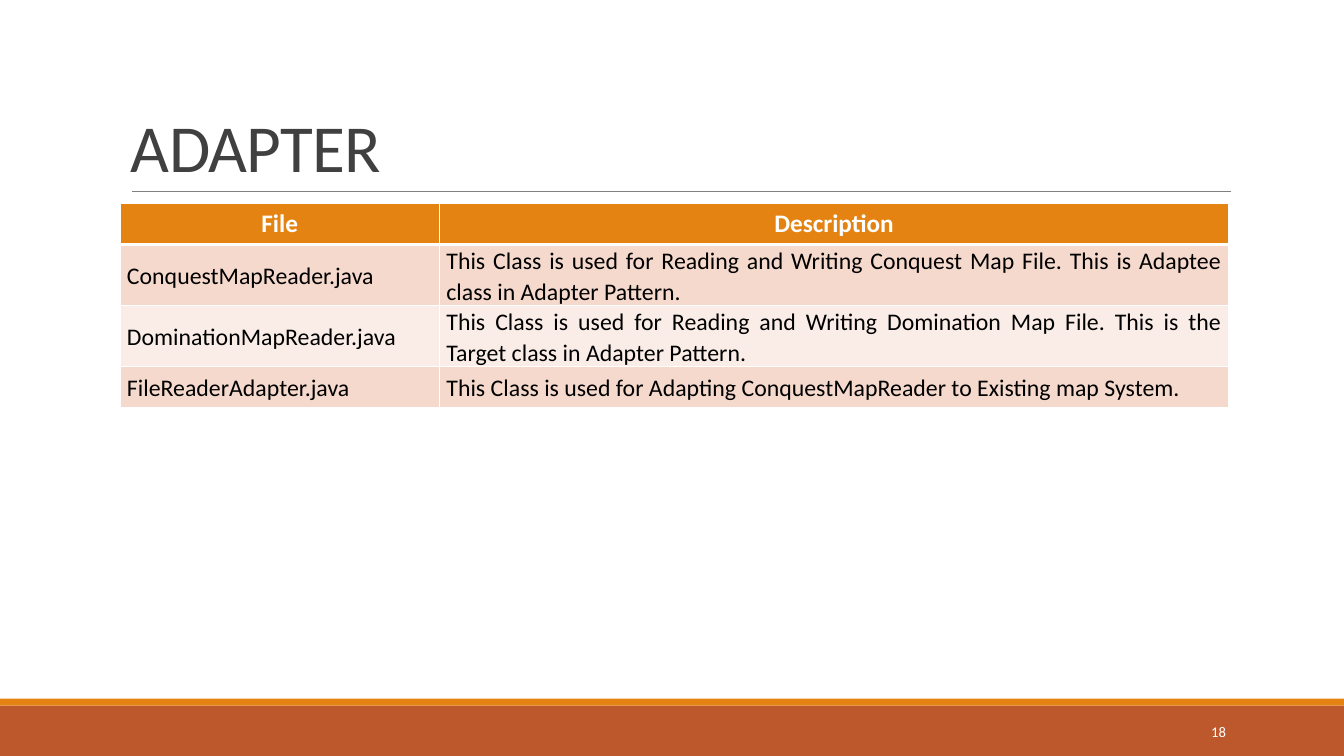
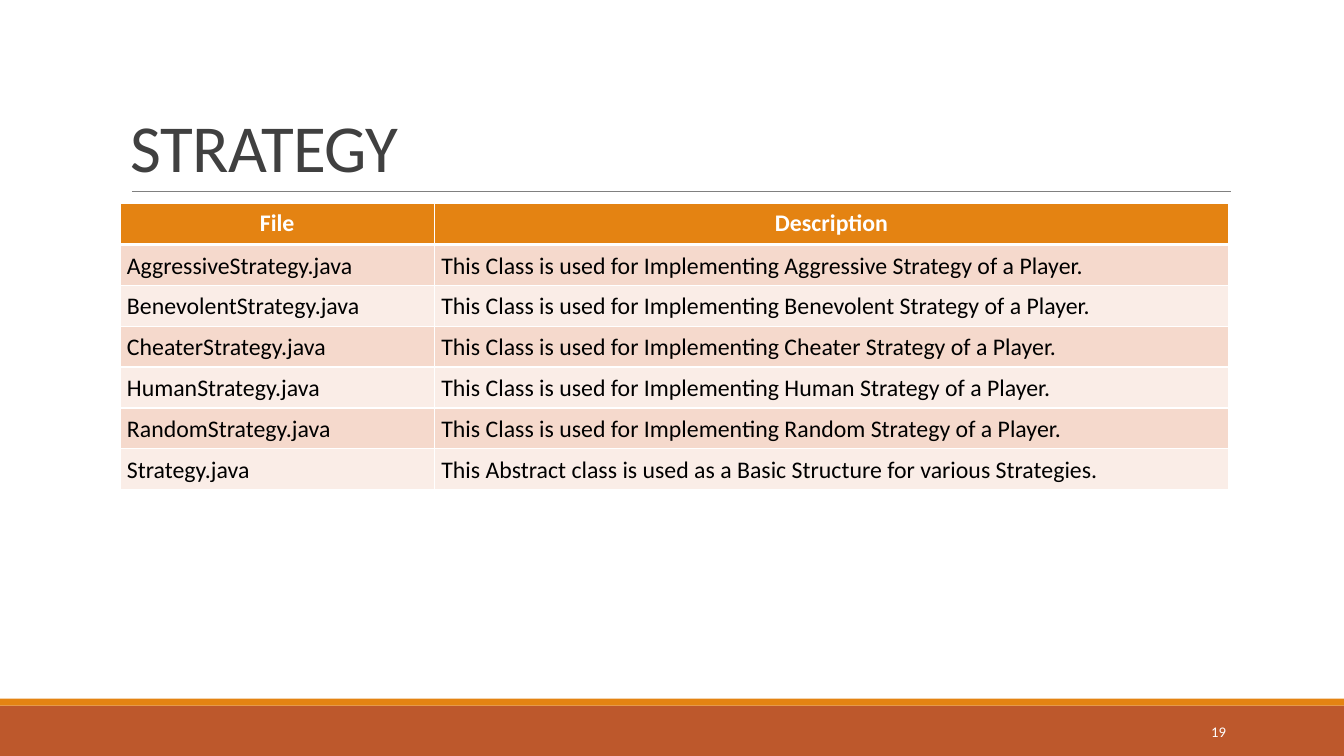
import pptx
import pptx.util
import pptx.dml.color
import pptx.enum.shapes
import pptx.enum.text
import pptx.oxml.ns
from lxml import etree

Pt = pptx.util.Pt
ALIGN = pptx.enum.text.PP_ALIGN
ANCHOR = pptx.enum.text.MSO_ANCHOR
SHAPE = pptx.enum.shapes.MSO_SHAPE
LINE = pptx.enum.shapes.MSO_CONNECTOR
qn = pptx.oxml.ns.qn

FONT = "Calibri"
ORANGE, RUST, WHITE, BLACK = "E48312", "BD582C", "FFFFFF", "000000"
TITLE_GREY, RULE_GREY = "404040", "808080"
ROW_FILLS = ["F5D9CC", "FAEDE7"]
TABLE_LEFT, TABLE_TOP, TABLE_WIDTH, ROW_HEIGHT = 85.7, 145.4, 792, 29.2


def rgb(hex_color):
    return pptx.dml.color.RGBColor.from_string(hex_color)


def set_text(tf, text, size, color, bold=False, align=ALIGN.LEFT,
             line_spacing=None, space=None, tracking=None):
    tf.word_wrap = True
    p = tf.paragraphs[0]
    p.alignment = align
    p.line_spacing = line_spacing
    if space is not None:
        p.space_before = p.space_after = Pt(space)
    r = p.add_run()
    r.text = text
    r.font.name, r.font.size, r.font.bold = FONT, Pt(size), bold
    r.font.color.rgb = rgb(color)
    if tracking is not None:
        r.font._element.set("spc", str(int(tracking * 100)))


# title, slide number, header size, file column width, rows
slides = [
    ("ADAPTER", 18, 18, 228.2, [
        ("ConquestMapReader.java",
         "This Class is used for Reading and Writing Conquest Map File. "
         "This is Adaptee class in Adapter Pattern."),
        ("DominationMapReader.java",
         "This Class is used for Reading and Writing Domination Map File. "
         "This is the Target class in Adapter Pattern."),
        ("FileReaderAdapter.java",
         "This Class is used for Adapting ConquestMapReader to Existing map System."),
    ]),
    ("STRATEGY", 19, 17, 224.6, [
        *[(f"{kind}Strategy.java",
           f"This Class is used for Implementing {kind} Strategy of a Player.")
          for kind in ("Aggressive", "Benevolent", "Cheater", "Human", "Random")],
        ("Strategy.java",
         "This Abstract class is used as a Basic Structure for various Strategies."),
    ]),
]

prs = pptx.Presentation()
prs.slide_width, prs.slide_height = Pt(960), Pt(540)

for title, number, header_size, file_width, rows in slides:
    s = prs.slides.add_slide(prs.slide_layouts[6])

    # Footer bands and title rule
    for top, height, color in [(504, 36, RUST), (499, 5, ORANGE)]:
        sp = s.shapes.add_shape(SHAPE.RECTANGLE, Pt(0), Pt(top), Pt(960), Pt(height))
        sp.shadow.inherit = False
        sp.fill.solid()
        sp.fill.fore_color.rgb = rgb(color)
        sp.line.fill.background()
    rule = s.shapes.add_connector(LINE.STRAIGHT, Pt(94.3), Pt(136.8), Pt(879.1), Pt(136.8))
    rule.line.color.rgb = rgb(RULE_GREY)
    rule.line.width = Pt(0.5)
    etree.SubElement(rule._element.spPr, qn("a:effectLst"))

    # Title and slide number
    tf = s.shapes.add_textbox(Pt(86.4), Pt(22.3), Pt(792), Pt(114.5)).text_frame
    tf.vertical_anchor = ANCHOR.BOTTOM
    set_text(tf, title, 48, TITLE_GREY, line_spacing=0.85, tracking=-0.5)
    tf = s.shapes.add_textbox(Pt(779.8), Pt(508.3), Pt(103), Pt(28.8)).text_frame
    tf.vertical_anchor = ANCHOR.MIDDLE
    set_text(tf, str(number), 10.5, WHITE, align=ALIGN.RIGHT)

    # File table
    cells = [("File", "Description")] + rows
    table = s.shapes.add_table(len(cells), 2, Pt(TABLE_LEFT), Pt(TABLE_TOP),
                               Pt(TABLE_WIDTH), Pt(ROW_HEIGHT * len(cells))).table
    table.horz_banding = False
    table.columns[0].width = Pt(file_width)
    table.columns[1].width = Pt(TABLE_WIDTH - file_width)
    for i, row in enumerate(cells):
        table.rows[i].height = Pt(ROW_HEIGHT)
        for j, text in enumerate(row):
            cell = table.cell(i, j)
            if i == 0:
                fill = ORANGE
                set_text(cell.text_frame, text, header_size, WHITE,
                         bold=True, align=ALIGN.CENTER)
            else:
                fill = ROW_FILLS[(i - 1) % 2]
                cell.vertical_anchor = ANCHOR.MIDDLE
                cell.margin_left = cell.margin_right = Pt(5)
                cell.margin_top = cell.margin_bottom = Pt(0)
                set_text(cell.text_frame, text, 17, BLACK, align=ALIGN.JUSTIFY,
                         line_spacing=1.07, space=3)
            tcPr = cell._tc.get_or_add_tcPr()
            for side in "LRTB":
                thick = (i, side) in [(0, "B"), (1, "T")]
                ln = etree.SubElement(tcPr, qn(f"a:ln{side}"), w=str(Pt(3 if thick else 1)))
                line_fill = etree.SubElement(ln, qn("a:solidFill"))
                etree.SubElement(line_fill, qn("a:srgbClr"), val=WHITE)
            cell.fill.solid()
            cell.fill.fore_color.rgb = rgb(fill)

prs.save("out.pptx")
